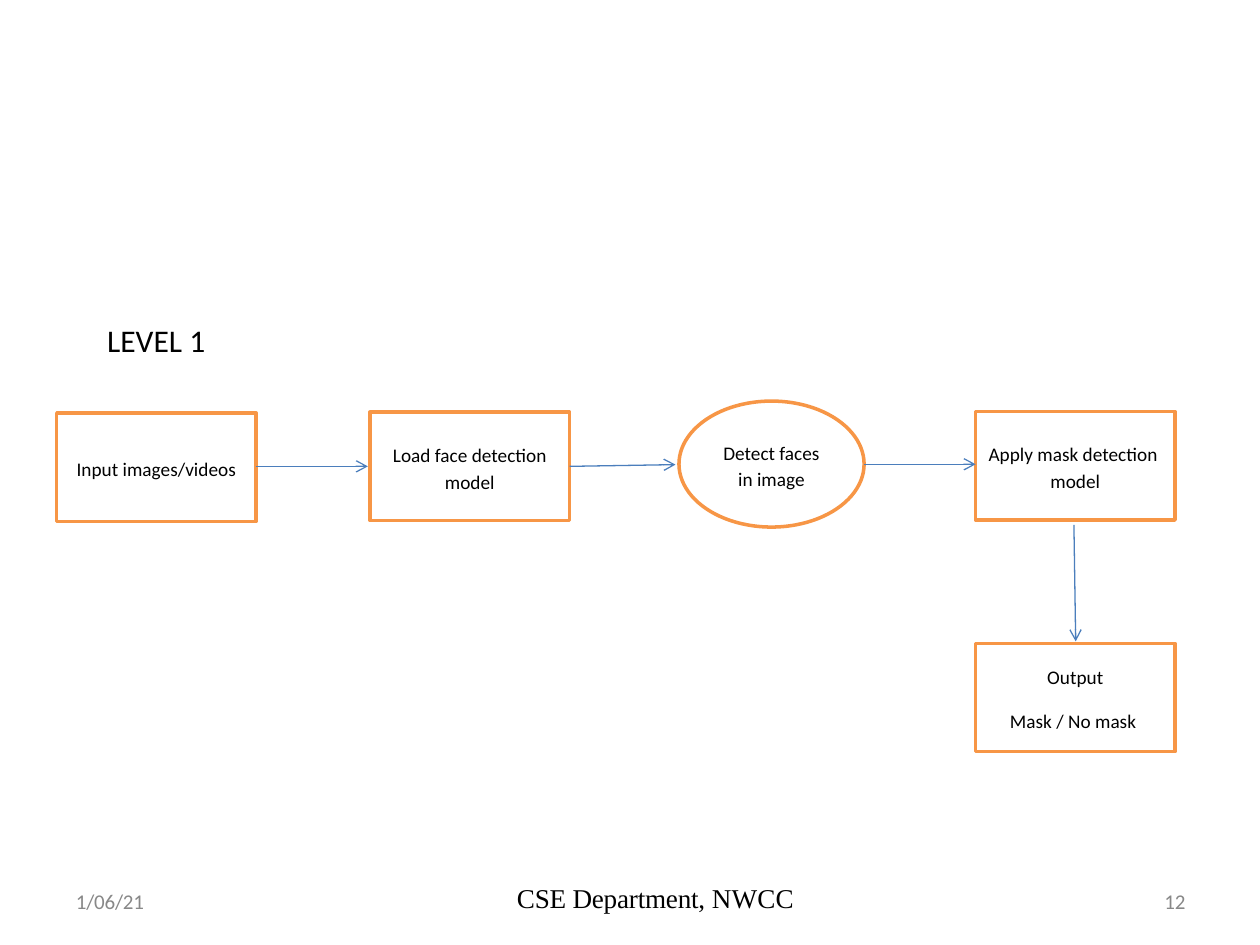
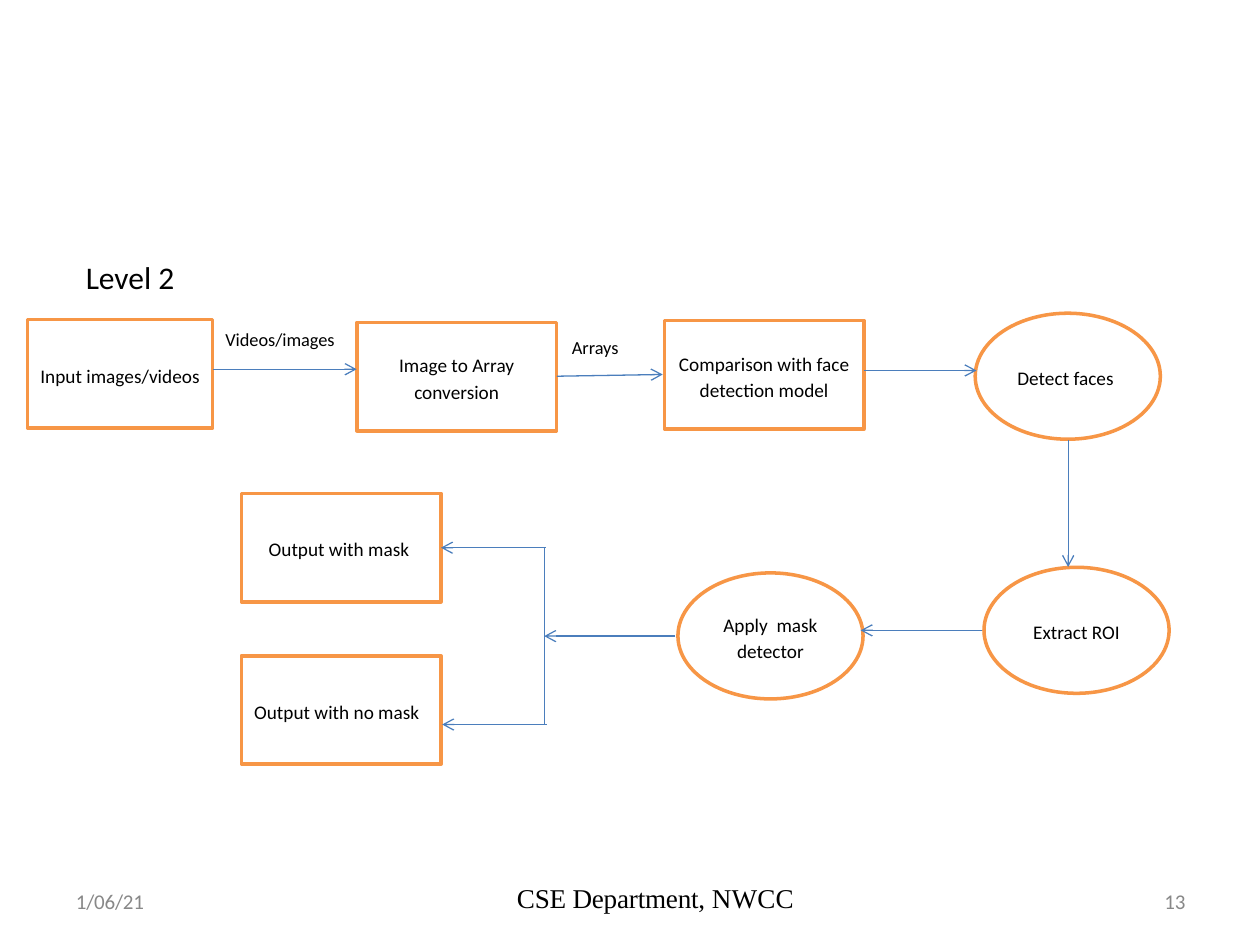
import pptx
import pptx.dml.color
import pptx.enum.shapes
import pptx.enum.text
import pptx.oxml.ns
import pptx.util
from lxml import etree

Pt = pptx.util.Pt
SHAPE = pptx.enum.shapes.MSO_SHAPE
ALIGN = pptx.enum.text.PP_ALIGN
ANCHOR = pptx.enum.text.MSO_ANCHOR
AUTO = pptx.enum.text.MSO_AUTO_SIZE
qn = pptx.oxml.ns.qn

COLORS = {
    "text": "000000",
    "muted": "888888",
    "fill": "FFFFFF",
    "outline": "F79646",
    "arrow": "4B7EBC",
}
BOX_W, BOX_H = 114, 62
OVAL_W, OVAL_H = 105.8, 72


def rgb(name):
    return pptx.dml.color.RGBColor.from_string(COLORS[name])


def add_run(p, text, size, color="text", font="Calibri", spacing=0):
    r = p.add_run()
    r.text = text
    r.font.size = Pt(size)
    r.font.name = font
    r.font.color.rgb = rgb(color)
    if spacing:
        # Character spacing in hundredths of a point
        r._r.get_or_add_rPr().set("spc", str(spacing))


def place(sp, x, y, w, h):
    sp.left, sp.top, sp.width, sp.height = Pt(x), Pt(y), Pt(w), Pt(h)


def add_title(s, text, x, y, w):
    sp = s.shapes.title
    place(sp, x, y, w, 29)
    tf = sp.text_frame
    tf.word_wrap = False
    tf.auto_size = AUTO.SHAPE_TO_FIT_TEXT
    tf.vertical_anchor = ANCHOR.TOP
    p = tf.paragraphs[0]
    p.alignment = ALIGN.LEFT
    add_run(p, text, 18)


def add_label(s, text, x, y, w, wrap=False):
    tf = s.shapes.add_textbox(Pt(x), Pt(y), Pt(w), Pt(20)).text_frame
    tf.word_wrap = wrap
    tf.auto_size = AUTO.SHAPE_TO_FIT_TEXT
    add_run(tf.paragraphs[0], text, 10.5)


def add_footer_text(s, x, y, w, h, indent, leading):
    tf = s.shapes.add_textbox(Pt(x), Pt(y), Pt(w), Pt(h)).text_frame
    tf.word_wrap = True
    tf.margin_left = Pt(indent)
    tf.margin_right = tf.margin_top = tf.margin_bottom = 0
    p = tf.paragraphs[0]
    p.line_spacing = Pt(leading)
    return p


def add_footer(s, number):
    p = add_footer_text(s, 294.5, 504, 172, 19.5, 0.9, 18.1)
    add_run(p, "CSE Department, ", 15.5, font="Times New Roman", spacing=-10)
    add_run(p, "NWCC", 15.5, font="Times New Roman", spacing=10)
    p = add_footer_text(s, 42.5, 509.8, 47.5, 12.5, 0.9, 12.4)
    add_run(p, "1/06/21", 12, "muted", spacing=-10)
    p = add_footer_text(s, 662.4, 509.8, 18, 13.5, 2.9, 12.4)
    add_run(p, str(number), 12, "muted")


def add_node(s, kind, x, y, w, h, lines):
    sp = s.shapes.add_shape(kind, Pt(x), Pt(y), Pt(w), Pt(h))
    sp.shadow.inherit = False
    sp.fill.solid()
    sp.fill.fore_color.rgb = rgb("fill")
    sp.line.color.rgb = rgb("outline")
    sp.line.width = Pt(2)
    tf = sp.text_frame
    tf.word_wrap = True
    tf.vertical_anchor = ANCHOR.MIDDLE
    for i, line in enumerate(lines):
        p = tf.add_paragraph() if i else tf.paragraphs[0]
        p.alignment = ALIGN.CENTER
        p.line_spacing = 1.15
        p.space_after = Pt(10)
        add_run(p, line, 11)


def add_box(s, x, y, *lines, w=BOX_W):
    add_node(s, SHAPE.RECTANGLE, x, y, w, BOX_H, lines)


def add_oval(s, x, y, *lines):
    add_node(s, SHAPE.OVAL, x, y, OVAL_W, OVAL_H, lines)


def add_line(s, x1, y1, x2, y2, arrow=True):
    c = s.shapes.add_connector(pptx.enum.shapes.MSO_CONNECTOR.STRAIGHT,
                               Pt(x1), Pt(y1), Pt(x2), Pt(y2))
    c.line.color.rgb = rgb("arrow")
    c.line.width = Pt(0.75)
    if arrow:
        etree.SubElement(c.line._get_or_add_ln(), qn("a:tailEnd"), type="arrow")
    etree.SubElement(c._element.spPr, qn("a:effectLst"))


def add_slide(prs, number, title, x, y, w):
    s = prs.slides.add_slide(prs.slide_layouts[5])
    add_title(s, title, x, y, w)
    add_footer(s, number)
    return s


def level_1(prs):
    s = add_slide(prs, 12, "LEVEL 1", 54, 180, 71.3)
    # Processing steps
    add_box(s, 32.4, 236, "Input images/videos")
    add_box(s, 211.5, 235.5, "Load face detection model")
    add_oval(s, 388, 229.2, "Detect faces in image")
    add_box(s, 557.5, 235.2, "Apply mask detection  model")
    add_box(s, 557.5, 367.6, "Output", "Mask / No mask ")
    # Flow
    add_line(s, 146.2, 266.5, 210.2, 266.5)
    add_line(s, 325.5, 266.5, 386, 265.5)
    add_line(s, 494, 265.3, 557.5, 265.3)
    add_line(s, 613.7, 300, 614.7, 366.5)


def level_2(prs):
    s = add_slide(prs, 13, "Level 2", 41.8, 144, 66.2)
    # Processing steps
    add_box(s, 15.8, 182.7, "Input images/videos", w=OVAL_W)
    add_box(s, 204, 184.2, "Image to Array conversion")
    add_box(s, 379.7, 183.2, "Comparison with face detection model")
    add_oval(s, 557.3, 179, "Detect faces ")
    add_oval(s, 562.3, 324.2, "Extract ROI")
    add_oval(s, 387.4, 327.4, "Apply  mask detector")
    # Results
    add_box(s, 138, 281.9, "Output with mask ")
    add_box(s, 138, 374.7, "Output with no mask  ")
    # Flow
    add_line(s, 121.7, 211, 203.8, 211)
    add_line(s, 318.2, 215, 378.7, 214)
    add_line(s, 494, 211.7, 558, 211.7)
    add_line(s, 610.4, 251.3, 610.4, 324)
    add_line(s, 560.9, 360.2, 491.8, 360.2)
    add_line(s, 385.9, 363.5, 311, 363.5)
    # Branch to both results
    add_line(s, 311, 313, 311, 414, arrow=False)
    add_line(s, 311.8, 313, 252, 313)
    add_line(s, 312.5, 414, 252.7, 414)
    # Data passed along
    add_label(s, "Videos/images", 121.7, 184.1, 82, wrap=True)
    add_label(s, "Arrays", 319.7, 188.6, 41.8)


def main():
    prs = pptx.Presentation()
    prs.slide_width, prs.slide_height = Pt(720), Pt(540)
    level_1(prs)
    level_2(prs)
    prs.save("out.pptx")


main()
